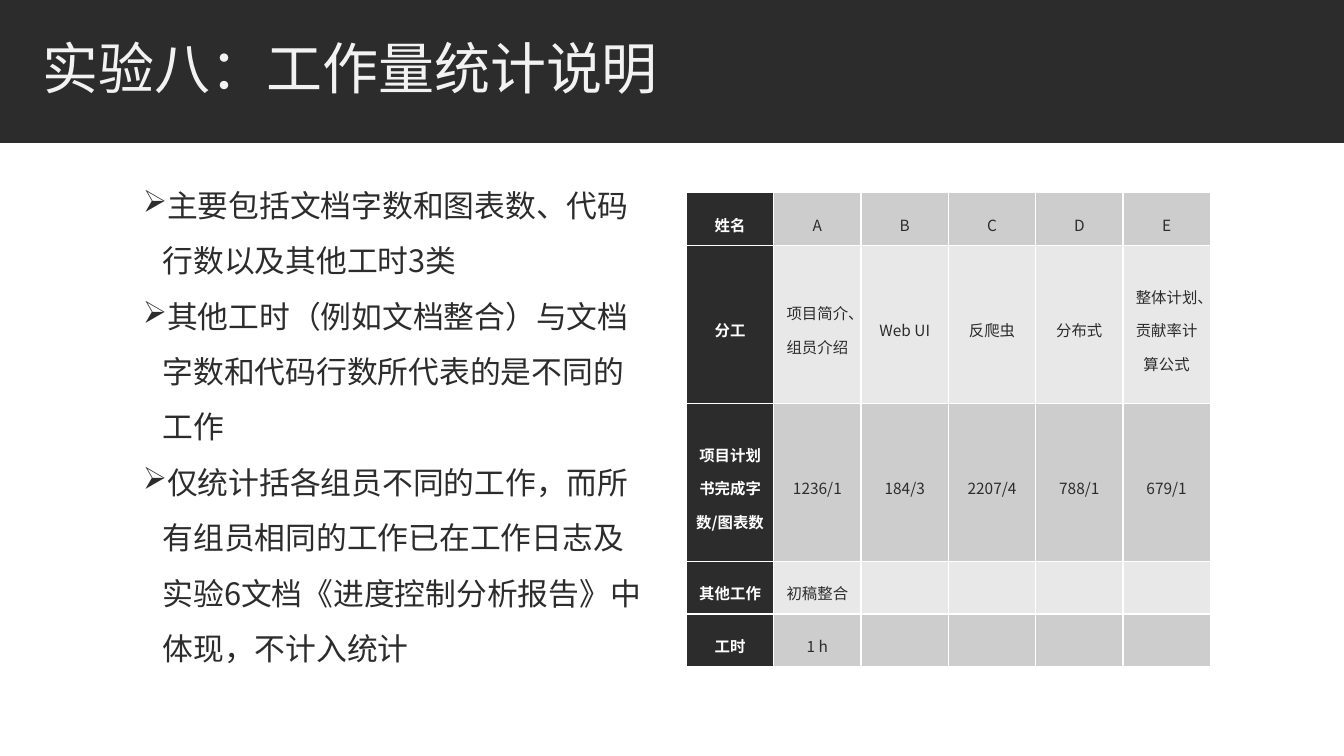
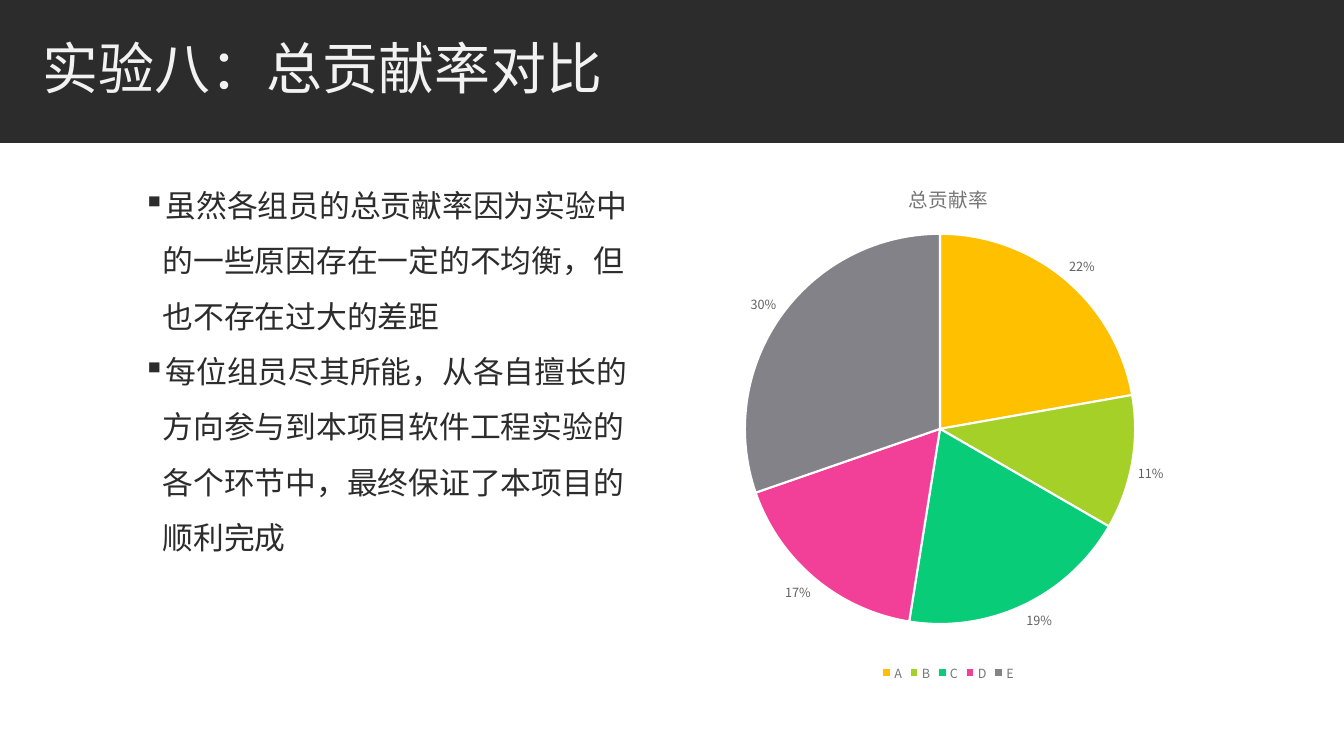
from lxml.etree import SubElement
from pptx import Presentation
from pptx.chart.data import CategoryChartData
from pptx.dml.color import RGBColor
from pptx.enum.chart import XL_CHART_TYPE as ChartType
from pptx.enum.chart import XL_LABEL_POSITION as LabelPosition
from pptx.enum.chart import XL_LEGEND_POSITION as LegendPosition
from pptx.enum.shapes import MSO_SHAPE as Shape
from pptx.enum.text import MSO_ANCHOR as Anchor
from pptx.enum.text import MSO_AUTO_SIZE as AutoSize
from pptx.enum.text import PP_ALIGN as Align
from pptx.oxml import parse_xml
from pptx.oxml.ns import nsdecls, qn
from pptx.util import Cm, Pt

FONT = "Noto Sans CJK SC"
DARK = RGBColor(0x2C, 0x2C, 0x2C)
WHITE = RGBColor(0xFF, 0xFF, 0xFF)
TITLE_TEXT = RGBColor(0xF2, 0xF2, 0xF2)
ROW_FILLS = [RGBColor(0xCD, 0xCD, 0xCD), RGBColor(0xE8, 0xE8, 0xE8)]
CAPTION = RGBColor(0x76, 0x76, 0x76)
PERCENT = RGBColor(0x61, 0x61, 0x61)
SLICE_FILLS = [
    RGBColor(0xFF, 0xC0, 0x00),
    RGBColor(0xA5, 0xD0, 0x28),
    RGBColor(0x08, 0xCC, 0x78),
    RGBColor(0xF2, 0x40, 0x99),
    RGBColor(0x82, 0x82, 0x88),
]

TEXT_LEFT, CONTENT_LEFT = Cm(3.35), Cm(17.3)
CONTENT_TOP, CONTENT_WIDTH, CONTENT_HEIGHT = Cm(4.11), Cm(13.2), Cm(13.16)
MEMBERS = ["A", "B", "C", "D", "E"]


def style_paragraph(paragraph, size, color, spacing=None, bold=False):
    font = paragraph.font
    font.name, font.size, font.bold = FONT, Pt(size), bold
    font.color.rgb = color
    paragraph.line_spacing = spacing
    defaults = paragraph._p.get_or_add_pPr().get_or_add_defRPr()
    SubElement(defaults, qn("a:ea"), typeface=FONT)


def add_bullet(paragraph, mark):
    properties = paragraph._p.get_or_add_pPr()
    properties.set("marL", str(Cm(0.5)))
    properties.set("indent", str(-Cm(0.5)))
    color = SubElement(properties, qn("a:buClr"))
    SubElement(color, qn("a:srgbClr"), val=str(DARK))
    SubElement(properties, qn("a:buChar"), char=mark)


prs = Presentation()
prs.slide_width, prs.slide_height = Cm(33.87), Cm(19.05)
layout = prs.slide_layouts[5]
layout_title = layout.placeholders[0]
layout_title.left, layout_title.top = Cm(0.82), Cm(0.67)
layout_title.width, layout_title.height = Cm(27.17), Cm(2.29)

pages = [
    ("实验八：工作量统计说明", "➢", [
        "主要包括文档字数和图表数、代码行数以及其他工时3类",
        "其他工时（例如文档整合）与文档字数和代码行数所代表的是不同的工作",
        "仅统计括各组员不同的工作，而所有组员相同的工作已在工作日志及实验6文档《进度控制分析报告》中体现，不计入统计",
    ]),
    ("实验八：总贡献率对比", "▪", [
        "虽然各组员的总贡献率因为实验中的一些原因存在一定的不均衡，但也不存在过大的差距",
        "每位组员尽其所能，从各自擅长的方向参与到本项目软件工程实验的各个环节中，最终保证了本项目的顺利完成",
    ]),
]

for heading, mark, points in pages:
    slide = prs.slides.add_slide(layout)
    title_frame = slide.shapes.title.text_frame
    title_frame.text = heading
    title_frame.auto_size = AutoSize.NONE
    title_frame.vertical_anchor = Anchor.MIDDLE
    title_frame.paragraphs[0].alignment = Align.LEFT
    style_paragraph(title_frame.paragraphs[0], 40, TITLE_TEXT, 0.85)

    body = slide.shapes.add_textbox(TEXT_LEFT, CONTENT_TOP, CONTENT_WIDTH, CONTENT_HEIGHT)
    body.text_frame.word_wrap = True
    body.text_frame.text = "\n".join(points)
    for paragraph in body.text_frame.paragraphs:
        add_bullet(paragraph, mark)
        style_paragraph(paragraph, 22, DARK, 1.5)

workload_slide, contribution_slide = prs.slides

band = workload_slide.shapes.add_shape(Shape.RECTANGLE, 0, 0, prs.slide_width, Cm(3.6))
band.shadow.inherit = False
band.fill.solid()
band.fill.fore_color.rgb = DARK
band.line.fill.background()
band.element.nvSpPr.cNvPr.id = 20
layout.shapes.element.insert(2, band.element)

workload = [
    ["姓名", *MEMBERS],
    ["分工", "项目简介、组员介绍", "Web UI", "反爬虫", "分布式", "整体计划、贡献率计算公式"],
    ["项目计划书完成字数/图表数", "1236/1", "184/3", "2207/4", "788/1", "679/1"],
    ["其他工作", "初稿整合", "", "", "", ""],
    ["工时", "1 h", "", "", "", ""],
]
row_heights = [Cm(1.33), Cm(3.98), Cm(3.98), Cm(1.33), Cm(1.33)]
table = workload_slide.shapes.add_table(
    len(workload), len(workload[0]), CONTENT_LEFT, Cm(4.85), CONTENT_WIDTH, sum(row_heights)
).table
table.first_row = table.horz_banding = False
table.first_col = True

for row_index, values in enumerate(workload):
    table.rows[row_index].height = row_heights[row_index]
    for column_index, value in enumerate(values):
        is_header = column_index == 0
        cell = table.cell(row_index, column_index)
        cell.text = value
        cell.vertical_anchor = Anchor.MIDDLE
        cell.margin_left = cell.margin_right = Cm(0.18)
        cell.margin_top = cell.margin_bottom = 0
        for side in ("lnL", "lnR", "lnT", "lnB"):
            cell._tc.get_or_add_tcPr().append(parse_xml(
                f'<a:{side} {nsdecls("a")} w="{Pt(1)}"><a:solidFill>'
                f'<a:srgbClr val="{WHITE}"/></a:solidFill></a:{side}>'
            ))
        cell.fill.solid()
        cell.fill.fore_color.rgb = DARK if is_header else ROW_FILLS[row_index % 2]
        paragraph = cell.text_frame.paragraphs[0]
        paragraph.alignment = Align.CENTER
        style_paragraph(paragraph, 11, WHITE if is_header else DARK, 1.5, is_header)

contribution = CategoryChartData()
contribution.categories = MEMBERS
contribution.add_series("总贡献率", [22, 11, 19, 17, 30])
chart = contribution_slide.shapes.add_chart(
    ChartType.PIE, CONTENT_LEFT, CONTENT_TOP, CONTENT_WIDTH, CONTENT_HEIGHT, contribution
).chart
chart.font.name, chart.font.size = FONT, Pt(10)
chart.font.color.rgb = DARK

chart.has_title = True
chart.chart_title.include_in_layout = False
chart.chart_title.text_frame.text = "总贡献率"
style_paragraph(chart.chart_title.text_frame.paragraphs[0], 14, CAPTION)

chart.has_legend = True
chart.legend.position = LegendPosition.BOTTOM
chart.legend.include_in_layout = False
chart.legend.font.name, chart.legend.font.size = FONT, Pt(9)
chart.legend.font.color.rgb = CAPTION

pie = chart.plots[0]
pie.vary_by_categories = True
pie.has_data_labels = True
labels = pie.data_labels
labels.show_percentage, labels.show_value = True, False
labels.number_format, labels.number_format_is_linked = "0%", False
labels.position = LabelPosition.OUTSIDE_END
labels.font.name, labels.font.size = FONT, Pt(9)
labels.font.color.rgb = PERCENT

for slice_index, color in enumerate(SLICE_FILLS):
    slice_format = pie.series[0].points[slice_index].format
    slice_format.fill.solid()
    slice_format.fill.fore_color.rgb = color
    slice_format.line.color.rgb = WHITE
    slice_format.line.width = Pt(1.5)

prs.save("out.pptx")
